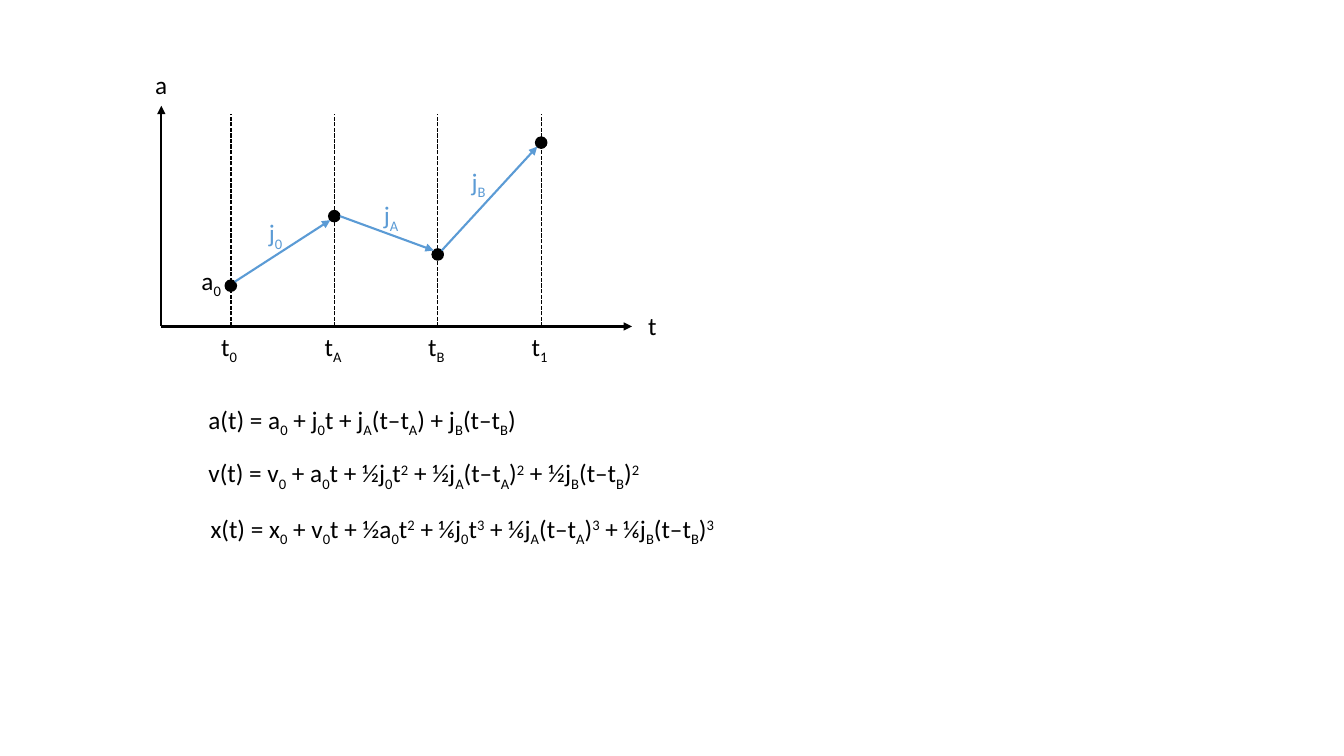
from dataclasses import dataclass
from itertools import pairwise

from pptx import Presentation
from pptx.dml.color import RGBColor
from pptx.enum.dml import MSO_LINE_DASH_STYLE as DASH
from pptx.enum.shapes import MSO_CONNECTOR, MSO_SHAPE
from pptx.enum.text import MSO_AUTO_SIZE
from pptx.oxml.ns import qn
from pptx.slide import Slide
from pptx.util import Pt
from lxml.etree import SubElement

BLACK, BLUE = "000000", "5B9BD5"
ORIGIN_X, ORIGIN_Y = 115.2, 233.2
FIRST_TIME_X, TIME_STEP = 164.9, 73.9
GUIDE_TOP = 81.4
DOT_SIZE = 8
DIAGONAL = 2.85  # horizontal and vertical reach of a dot's edge at 45 degrees
BASELINES = {"_": "-25000", "^": "30000"}


@dataclass
class Label:
    text: str
    left: float
    top: float
    width: float
    color: str = BLACK


@dataclass
class Knot:
    time: str
    y: float
    x: float = 0


@dataclass
class Jerk:
    """Offsets of an arrow's ends from the dot centres it joins."""
    start: tuple[float, float]
    end: tuple[float, float]


KNOTS = [Knot("t_0", 204.1), Knot("t_A", 154.4), Knot("t_B", 181.8), Knot("t_1", 101.9)]
for i, knot in enumerate(KNOTS):
    knot.x = FIRST_TIME_X + i * TIME_STEP

RISING = Jerk((DIAGONAL, -DIAGONAL), (-DIAGONAL, DIAGONAL))
FALLING = Jerk((DOT_SIZE / 2, 0), (-DIAGONAL, -DIAGONAL))
JERKS = [RISING, FALLING, RISING]

LABELS = [
    Label("a", 103.7, 46.1, 23),
    Label("t", 455.8, 218.2, 21),
    Label("a_0", 136.8, 185.8, 29.5),
    Label("j_0", 185, 151.9, 25.2, BLUE),
    Label("j_A", 267.1, 139, 25.9, BLUE),
    Label("j_B", 329.8, 115.2, 25.2, BLUE),
    Label("a(t) = a_0 + j_0t + j_A(t–t_A) + j_B(t–t_B)", 141.8, 285.1, 250.6),
    Label("v(t) = v_0 + a_0t + ½j_0t^2 + ½j_A(t–t_A)^2 + ½j_B(t–t_B)^2",
          141.8, 323.3, 339.1),
    Label("x(t) = x_0 + v_0t + ½a_0t^2 + ⅙j_0t^3 + ⅙j_A(t–t_A)^3 + ⅙j_B(t–t_B)^3",
          143.3, 362.9, 401.8),
]


def rgb(color: str) -> RGBColor:
    return RGBColor.from_string(color)


def split_scripts(text: str) -> list[tuple[str, str]]:
    """Split text into (piece, mark); _ or ^ lowers or raises the next character."""
    pieces = []
    plain = mark = ""
    for char in text:
        if mark:
            pieces.append((char, mark))
            mark = ""
        elif char in BASELINES:
            pieces.append((plain, ""))
            plain, mark = "", char
        else:
            plain += char
    pieces.append((plain, ""))
    return [piece for piece in pieces if piece[0]]


def add_text(slide: Slide, text: str, *, left: float, top: float, width: float,
             height: float = 29, size: float = 18, color: str = BLACK) -> None:
    sp = slide.shapes.add_textbox(Pt(left), Pt(top), Pt(width), Pt(height))
    tf = sp.text_frame
    tf.word_wrap = False
    tf.auto_size = MSO_AUTO_SIZE.SHAPE_TO_FIT_TEXT
    p = tf.paragraphs[0]
    for piece, mark in split_scripts(text):
        r = p.add_run()
        r.text = piece
        r.font.name = "Calibri"
        r.font.size = Pt(size)
        r.font.color.rgb = rgb(color)
        if mark:
            r.font._element.set("baseline", BASELINES[mark])


def add_line(slide: Slide, start: tuple[float, float], end: tuple[float, float], *,
             color: str = BLACK, width: float = 1.5, arrow: bool = True) -> None:
    """Draw a solid arrow, or a dashed line without a head."""
    points = [Pt(v) for v in (*start, *end)]
    sp = slide.shapes.add_connector(MSO_CONNECTOR.STRAIGHT, *points)
    sp.line.color.rgb = rgb(color)
    sp.line.width = Pt(width)
    if arrow:
        SubElement(sp.line._get_or_add_ln(), qn("a:tailEnd"), type="triangle")
    else:
        sp.line.dash_style = DASH.SQUARE_DOT
    SubElement(sp._element.spPr, qn("a:effectLst"))


def add_dot(slide: Slide, x: float, y: float) -> None:
    half = DOT_SIZE / 2
    sp = slide.shapes.add_shape(MSO_SHAPE.OVAL, Pt(x - half), Pt(y - half),
                                Pt(DOT_SIZE), Pt(DOT_SIZE))
    sp.shadow.inherit = False
    sp.fill.solid()
    sp.fill.fore_color.rgb = rgb(BLACK)
    sp.line.color.rgb = rgb(BLACK)
    sp.line.width = Pt(1)


def main() -> None:
    prs = Presentation()
    prs.slide_width, prs.slide_height = Pt(960), Pt(540)
    slide = prs.slides.add_slide(prs.slide_layouts[6])

    for axis_end in ((ORIGIN_X, 75.6), (451.4, ORIGIN_Y)):
        add_line(slide, (ORIGIN_X, ORIGIN_Y), axis_end)

    for knot in KNOTS:
        add_line(slide, (knot.x, ORIGIN_Y), (knot.x, GUIDE_TOP), width=1, arrow=False)
        add_dot(slide, knot.x, knot.y)
        add_text(slide, knot.time, left=knot.x - 14, top=ORIGIN_Y, width=27)

    for (a, b), jerk in zip(pairwise(KNOTS), JERKS):
        add_line(slide, (a.x + jerk.start[0], a.y + jerk.start[1]),
                 (b.x + jerk.end[0], b.y + jerk.end[1]), color=BLUE)

    for label in LABELS:
        add_text(slide, label.text, left=label.left, top=label.top,
                 width=label.width, color=label.color)

    prs.save("out.pptx")


if __name__ == "__main__":
    main()
